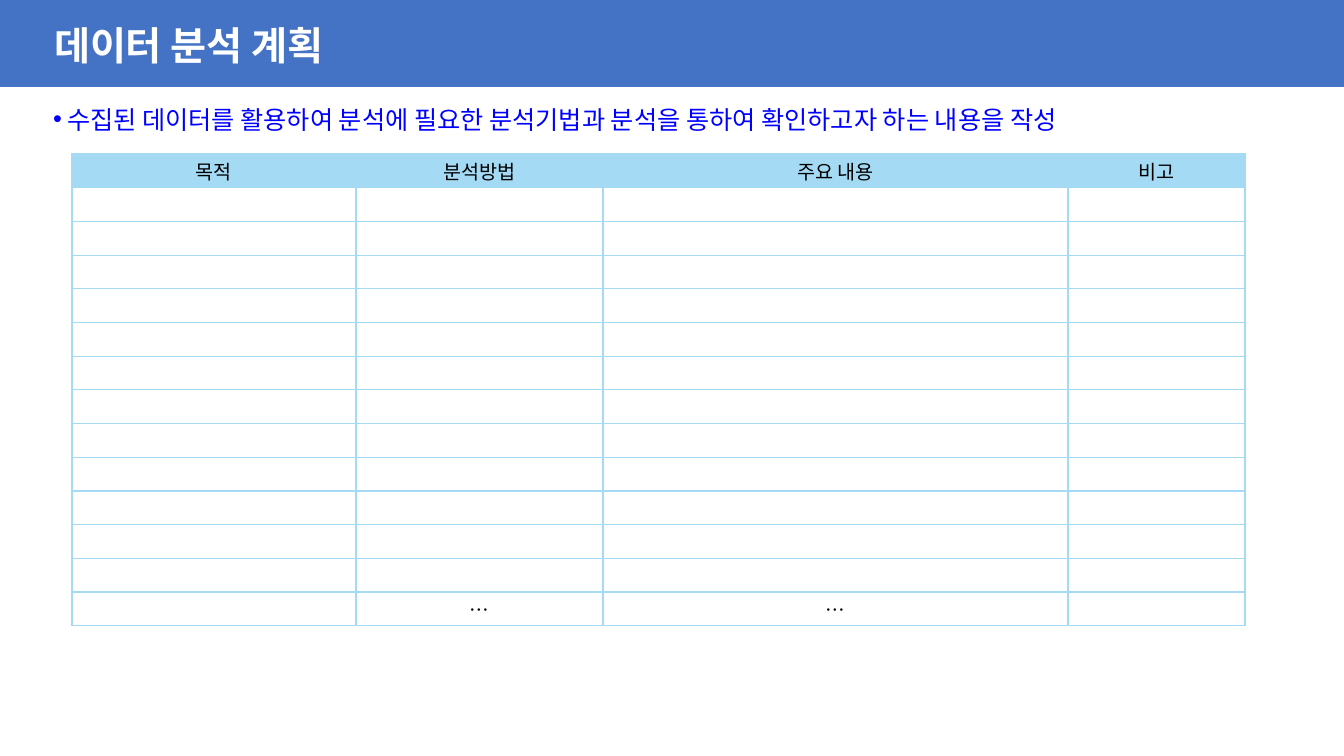
"""Build the data analysis plan slide."""
import dataclasses

import pptx
import pptx.dml.color
import pptx.enum.shapes
import pptx.enum.text
import pptx.oxml.ns
import pptx.util
from lxml import etree

PX = 9144000 / 1008
ALIGN = pptx.enum.text.PP_ALIGN
MIDDLE = pptx.enum.text.MSO_ANCHOR.MIDDLE
qn = pptx.oxml.ns.qn


@dataclasses.dataclass(frozen=True)
class Theme:
    """Hold the colours, font and type sizes."""
    font: str = "Noto Sans CJK KR"
    band: str = "4472C4"
    title: str = "FFFFFF"
    lead: str = "0000FF"
    text: str = "000000"
    grid: str = "A4DAF4"
    cell: str = "FFFFFF"
    title_size: int = 28
    lead_size: int = 18
    cell_size: int = 14


def emu(px):
    """Turn pixels into EMU."""
    return pptx.util.Emu(round(px * PX))


def rgb(color):
    """Turn a hex string into a colour."""
    return pptx.dml.color.RGBColor.from_string(color)


def write(tf, text, *, font, size, color, bold=False, align=ALIGN.LEFT):
    """Write one formatted paragraph and return it."""
    p = tf.paragraphs[0]
    p.alignment = align
    p.space_before = pptx.util.Pt(0)
    if text:
        r = p.add_run()
        r.text = text
        r.font.name = font
        r.font.size = pptx.util.Pt(size)
        r.font.bold = bold
        r.font.color.rgb = rgb(color)
        ea = etree.SubElement(r.font._element, qn("a:ea"))
        ea.set("typeface", font)
    else:
        end = etree.SubElement(p._p, qn("a:endParaRPr"))
        end.set("sz", str(size * 100))
    return p


class Deck:
    """Draw styled elements on the current slide."""

    def __init__(self, theme, width, height):
        """Start a presentation with one slide."""
        self.theme = theme
        self.prs = pptx.Presentation()
        self.prs.slide_width, self.prs.slide_height = emu(width), emu(height)
        self.s = self.prs.slides.add_slide(self.prs.slide_layouts[1])

    def band(self, x, y, w, h):
        """Add a filled band behind the text."""
        sp = self.s.shapes.add_shape(
            pptx.enum.shapes.MSO_SHAPE.RECTANGLE, *map(emu, (x, y, w, h)))
        sp.shadow.inherit = False
        sp.fill.solid()
        sp.fill.fore_color.rgb = rgb(self.theme.band)
        sp.line.fill.background()
        self.s.shapes._spTree.insert(2, sp._element)

    def place(self, sp, x, y, w, h):
        """Move a placeholder and return its text frame."""
        sp.left, sp.top, sp.width, sp.height = map(emu, (x, y, w, h))
        tf = sp.text_frame
        tf.word_wrap = True
        tf.auto_size = pptx.enum.text.MSO_AUTO_SIZE.NONE
        tf.vertical_anchor = MIDDLE
        tf.margin_left = tf.margin_right = emu(10)
        tf.margin_top = tf.margin_bottom = 0
        return tf

    def title(self, text, *box):
        """Fill the title placeholder."""
        t = self.theme
        write(self.place(self.s.shapes.title, *box), text, font=t.font,
              size=t.title_size, color=t.title, bold=True)

    def bullet(self, text, *box):
        """Fill the body placeholder with a bulleted line."""
        t = self.theme
        p = write(self.place(self.s.placeholders[1], *box), text,
                  font=t.font, size=t.lead_size, color=t.lead)
        pPr = p._p.get_or_add_pPr()
        pPr.set("marL", str(emu(14)))
        pPr.set("indent", str(-emu(14)))
        etree.SubElement(pPr, qn("a:buFont")).set("typeface", "Arial")
        etree.SubElement(pPr, qn("a:buChar")).set("char", "•")

    def borders(self, cell):
        """Draw the four borders of a cell."""
        tcPr = cell._tc.get_or_add_tcPr()
        for i, side in enumerate(("lnL", "lnR", "lnT", "lnB")):
            ln = etree.Element(qn("a:" + side), w=str(pptx.util.Pt(1)))
            fill = etree.SubElement(ln, qn("a:solidFill"))
            etree.SubElement(fill, qn("a:srgbClr")).set("val", self.theme.grid)
            tcPr.insert(i, ln)

    def table(self, rows, widths, x, y, h):
        """Add a table with equal rows and a tinted header."""
        t = self.theme
        tbl = self.s.shapes.add_table(
            len(rows), len(widths), *map(emu, (x, y, sum(widths), h))).table
        tbl.first_row = tbl.horz_banding = False
        for col, w in zip(tbl.columns, widths):
            col.width = emu(w)
        for i, row in enumerate(rows):
            tbl.rows[i].height = emu(h / len(rows))
            for j, text in enumerate(row):
                cell = tbl.cell(i, j)
                cell.margin_top = cell.margin_bottom = emu(2)
                cell.vertical_anchor = MIDDLE
                cell.fill.solid()
                cell.fill.fore_color.rgb = rgb(t.cell if i else t.grid)
                self.borders(cell)
                write(cell.text_frame, text, font=t.font, size=t.cell_size,
                      color=t.text, align=ALIGN.CENTER)


def main():
    """Build and save the slide."""
    deck = Deck(Theme(), 1344, 756)
    deck.band(0, 0, 1344, 87)
    deck.title("데이터 분석 계획", 44, 16, 640, 57)
    deck.bullet("수집된 데이터를 활용하여 분석에 필요한 분석기법과 "
                "분석을 통하여 확인하고자 하는 내용을 작성", 43, 99, 1148, 40)
    rows = [("목적", "분석방법", "주요 내용", "비고"),
            *[("",) * 4] * 12,
            ("", "…", "…", "")]
    deck.table(rows, (284, 247, 465, 177), 72, 154, 472)
    deck.prs.save("out.pptx")


if __name__ == "__main__":
    main()
